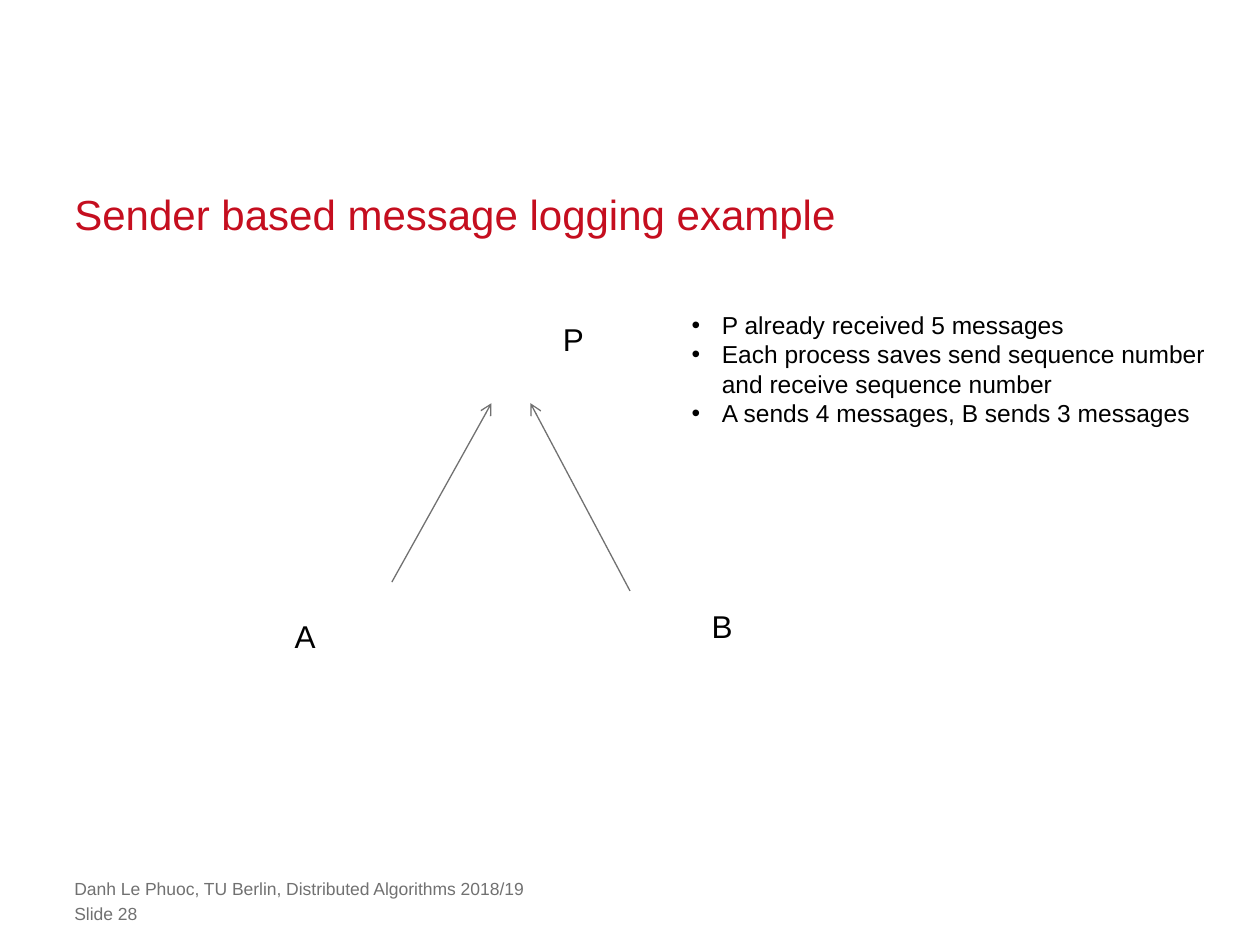
from lxml import etree
from pptx import Presentation
from pptx.dml.color import RGBColor
from pptx.enum.shapes import MSO_CONNECTOR
from pptx.enum.text import MSO_ANCHOR, PP_ALIGN
from pptx.oxml.ns import qn
from pptx.util import Inches, Pt

STRAIGHT = MSO_CONNECTOR.STRAIGHT
BOTTOM, TOP = MSO_ANCHOR.BOTTOM, MSO_ANCHOR.TOP
LEFT = PP_ALIGN.LEFT
COLORS = {"title": "C50E1F", "gray": "717171", "text": "000000"}
MARGINS = ("margin_left", "margin_top", "margin_right", "margin_bottom")
BULLET_INDENT = Inches(0.24)


def write_text(shape, lines, size, color, anchor=TOP, inset=None, spacing=None, bullet=None):
    frame = shape.text_frame
    frame.text = "\n".join(lines)
    frame_format = {"word_wrap": True, "vertical_anchor": anchor}
    if inset is not None:
        frame_format.update(dict.fromkeys(MARGINS, inset))
    for name, value in frame_format.items():
        setattr(frame, name, value)
    for paragraph in frame.paragraphs:
        if bullet:
            properties = paragraph._p.get_or_add_pPr()
            properties.set("marL", str(BULLET_INDENT))
            properties.set("indent", str(-BULLET_INDENT))
            etree.SubElement(properties, qn("a:buFont")).set("typeface", "Arial")
            etree.SubElement(properties, qn("a:buChar")).set("char", bullet)
        paragraph.alignment = LEFT
        if spacing:
            paragraph.line_spacing = spacing
        for run in paragraph.runs:
            for name, value in {"name": "Arial", "size": Pt(size)}.items():
                setattr(run.font, name, value)
            run.font.color.rgb = RGBColor.from_string(COLORS[color])


presentation = Presentation()
presentation.slide_width = Inches(10)
presentation.slide_height = Inches(7.5)
slide = presentation.slides.add_slide(presentation.slide_layouts[5])

title = slide.shapes.title
title_place = {"left": 0.59, "top": 1.48, "width": 8.82, "height": 0.42}
for name, value in title_place.items():
    setattr(title, name, Inches(value))
write_text(title, ["Sender based message logging example"], 24, "title",
           anchor=BOTTOM, inset=0, spacing=Pt(30))

footer_lines = ["Danh Le Phuoc, TU Berlin, Distributed Algorithms 2018/19", "Slide 28"]
for index, line in enumerate(footer_lines):
    footer = slide.shapes.add_textbox(
        Inches(0.59), Inches(6.97 + 0.2 * index), Inches(7.24), Inches(0.17))
    write_text(footer, [line], 10, "gray", inset=0)

message_arrows = [(3.11, 4.62, 3.9, 3.2), (5, 4.69, 4.21, 3.2)]
for ends in message_arrows:
    arrow = slide.shapes.add_connector(STRAIGHT, *[Inches(value) for value in ends])
    arrow.line.width = Pt(0.75)
    arrow.line.color.rgb = RGBColor.from_string(COLORS["gray"])
    etree.SubElement(arrow.line._get_or_add_ln(), qn("a:tailEnd")).set("type", "arrow")
    etree.SubElement(arrow._element.spPr, qn("a:effectLst"))

process_labels = [("A", 2.24, 4.85, 0.31), ("B", 5.55, 4.77, 0.39), ("P", 4.37, 2.49, 0.47)]
for process, left, top, width in process_labels:
    label = slide.shapes.add_textbox(Inches(left), Inches(top), Inches(width), Inches(0.4))
    write_text(label, [process], 18, "text")

notes = slide.shapes.add_textbox(Inches(5.39), Inches(2.41), Inches(4.41), Inches(1.04))
write_text(notes, [
    "P already received 5 messages",
    "Each process saves send sequence number and receive sequence number",
    "A sends 4 messages, B sends 3 messages",
], 14, "text", spacing=Pt(16.8), bullet="•")

presentation.save("out.pptx")
